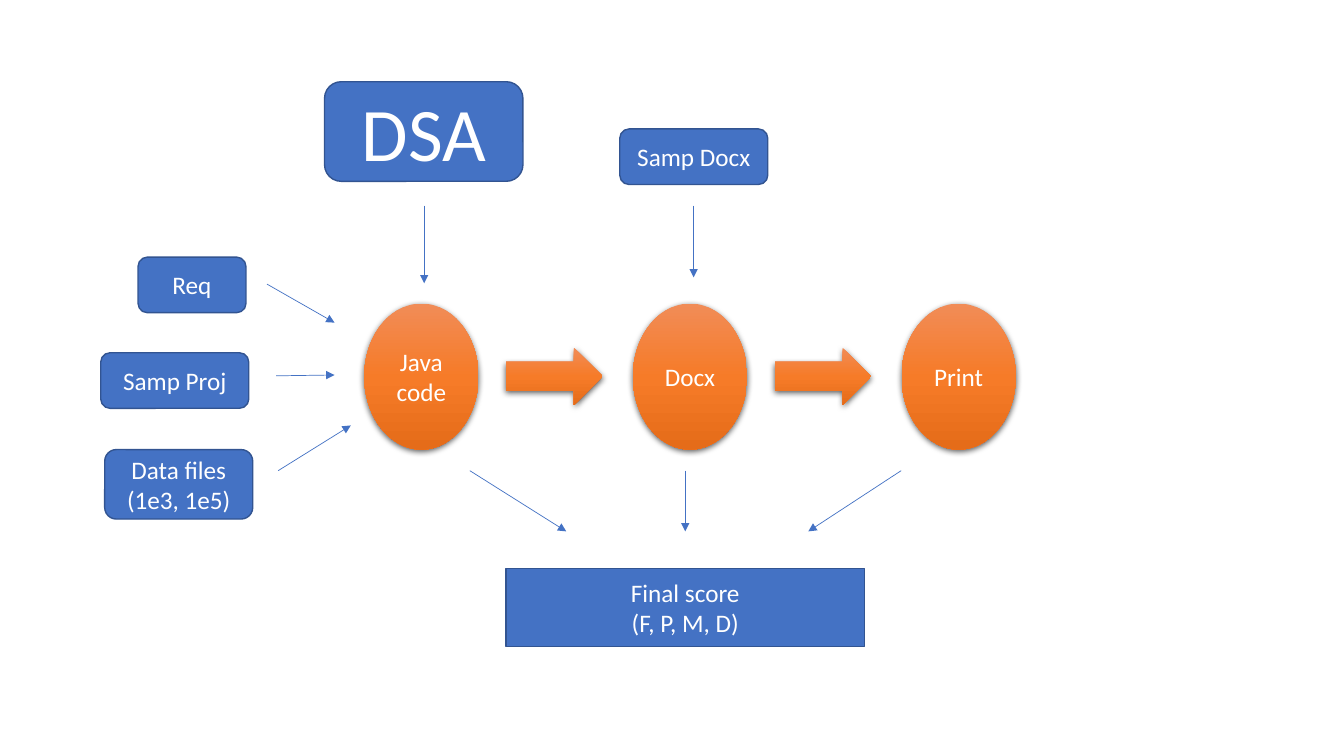
"""Build a one-slide flow diagram from Java code to print, with inputs and a final score."""
from dataclasses import dataclass

from lxml import etree
from pptx import Presentation
from pptx.dml.color import RGBColor
from pptx.enum.shapes import MSO_CONNECTOR, MSO_SHAPE
from pptx.enum.text import MSO_ANCHOR, PP_ALIGN
from pptx.oxml import parse_xml
from pptx.oxml.ns import nsdecls, qn
from pptx.util import Cm, Pt

ELLIPSE = MSO_SHAPE.OVAL
BLOCK_ARROW = MSO_SHAPE.RIGHT_ARROW
ROUNDED = MSO_SHAPE.ROUNDED_RECTANGLE
RECTANGLE = MSO_SHAPE.RECTANGLE
STRAIGHT = MSO_CONNECTOR.STRAIGHT
CENTER = PP_ALIGN.CENTER
MIDDLE = MSO_ANCHOR.MIDDLE


@dataclass(frozen=True)
class Theme:
    font: str = "Calibri"
    body: int = 18
    large: int = 54
    text: str = "FFFFFF"
    box: str = "4472C4"
    outline: str = "325491"
    outline_width: float = 1
    arrow_width: float = 0.5
    gradient: tuple[str, ...] = ("F18C57", "F67B28", "E56C19")
    shadow: str = "000000"


@dataclass(frozen=True)
class Box:
    text: str
    left: float
    top: float
    width: float = 3.73
    height: float = 1.4
    size: int = Theme.body
    kind: MSO_SHAPE = ROUNDED


@dataclass(frozen=True)
class Arrow:
    x1: float
    y1: float
    x2: float
    y2: float


THEME = Theme()
STEPS = ("Java code", "Docx", "Print")
STEP_LEFT, STEP_TOP, STEP_WIDTH, STEP_HEIGHT = 9.18, 7.65, 2.88, 3.68
STEP_PITCH = 6.77
FLOW_OFFSET, FLOW_TOP, FLOW_WIDTH, FLOW_HEIGHT = 3.57, 8.76, 2.44, 1.45

BOXES = (
    Box("Final score\n(F, P, M, D)", 12.75, 14.33, 9.04, 1.96, kind=RECTANGLE),
    Box("Req", 3.48, 6.48, width=2.72),
    Box("Samp Proj", 2.54, 8.89),
    Box("Data files\n(1e3, 1e5)", 2.64, 11.33, height=1.75),
    Box("Samp Docx", 15.62, 3.25),
    Box("DSA", 8.18, 2.06, 5, 2.51, THEME.large),
)
ARROWS = (
    Arrow(11.84, 11.86, 14.27, 13.39),
    Arrow(17.27, 11.86, 17.27, 13.39),
    Arrow(22.71, 11.86, 20.37, 13.39),
    Arrow(6.73, 7.16, 8.43, 8.13),
    Arrow(6.96, 9.47, 8.43, 9.45),
    Arrow(7.01, 11.86, 8.84, 10.72),
    Arrow(17.48, 5.18, 17.48, 6.99),
    Arrow(10.69, 5.18, 10.69, 7.14),
)


def add_box(slide, box: Box):
    """Add a shape with centred text and the blue box style."""
    s = slide.shapes.add_shape(
        box.kind, Cm(box.left), Cm(box.top), Cm(box.width), Cm(box.height)
    )
    s.shadow.inherit = False
    s.fill.solid()
    s.fill.fore_color.rgb = RGBColor.from_string(THEME.box)
    s.line.color.rgb = RGBColor.from_string(THEME.outline)
    s.line.width = Pt(THEME.outline_width)
    tf = s.text_frame
    tf.text = box.text
    tf.word_wrap = True
    tf.vertical_anchor = MIDDLE
    for p in tf.paragraphs:
        p.alignment = CENTER
        for r in p.runs:
            r.font.name = THEME.font
            r.font.size = Pt(box.size)
            r.font.color.rgb = RGBColor.from_string(THEME.text)
    return s


def make_glossy(s) -> None:
    """Give a shape the orange gradient and a soft shadow, without outline."""
    s.line.fill.background()
    s.fill.background()
    stops = "".join(
        f'<a:gs pos="{i * 50000}"><a:srgbClr val="{color}"/></a:gs>'
        for i, color in enumerate(THEME.gradient)
    )
    sp_pr = s.element.spPr
    sp_pr.replace(sp_pr.find(qn("a:noFill")), parse_xml(
        f'<a:gradFill {nsdecls("a")} rotWithShape="1"><a:gsLst>{stops}</a:gsLst>'
        '<a:lin ang="5400000" scaled="0"/></a:gradFill>'
    ))
    sp_pr.find(qn("a:effectLst")).append(parse_xml(
        f'<a:outerShdw {nsdecls("a")} blurRad="{Pt(4.5)}" dist="{Pt(1.5)}" '
        'dir="5400000" algn="ctr" rotWithShape="0">'
        f'<a:srgbClr val="{THEME.shadow}"><a:alpha val="63000"/></a:srgbClr>'
        '</a:outerShdw>'
    ))


def add_arrow(slide, arrow: Arrow) -> None:
    """Add a thin line with a triangular head at its end."""
    c = slide.shapes.add_connector(
        STRAIGHT, Cm(arrow.x1), Cm(arrow.y1), Cm(arrow.x2), Cm(arrow.y2)
    )
    c.line.color.rgb = RGBColor.from_string(THEME.box)
    c.line.width = Pt(THEME.arrow_width)
    sp_pr = c.element.spPr
    etree.SubElement(sp_pr.find(qn("a:ln")), qn("a:tailEnd"), type="triangle")
    etree.SubElement(sp_pr, qn("a:effectLst"))


def add_steps(slide) -> None:
    """Add the row of steps with a block arrow between neighbours."""
    for i, name in enumerate(STEPS):
        left = STEP_LEFT + i * STEP_PITCH
        make_glossy(add_box(slide, Box(
            name, left, STEP_TOP, STEP_WIDTH, STEP_HEIGHT, kind=ELLIPSE
        )))
        if i < len(STEPS) - 1:
            make_glossy(add_box(slide, Box(
                "", left + FLOW_OFFSET, FLOW_TOP, FLOW_WIDTH, FLOW_HEIGHT,
                kind=BLOCK_ARROW,
            )))


def main() -> None:
    """Create the presentation and save it."""
    prs = Presentation()
    prs.slide_width, prs.slide_height = Cm(33.87), Cm(19.05)
    slide = prs.slides.add_slide(prs.slide_layouts[6])
    add_steps(slide)
    for box in BOXES:
        add_box(slide, box)
    for arrow in ARROWS:
        add_arrow(slide, arrow)
    prs.save("out.pptx")


if __name__ == "__main__":
    main()
